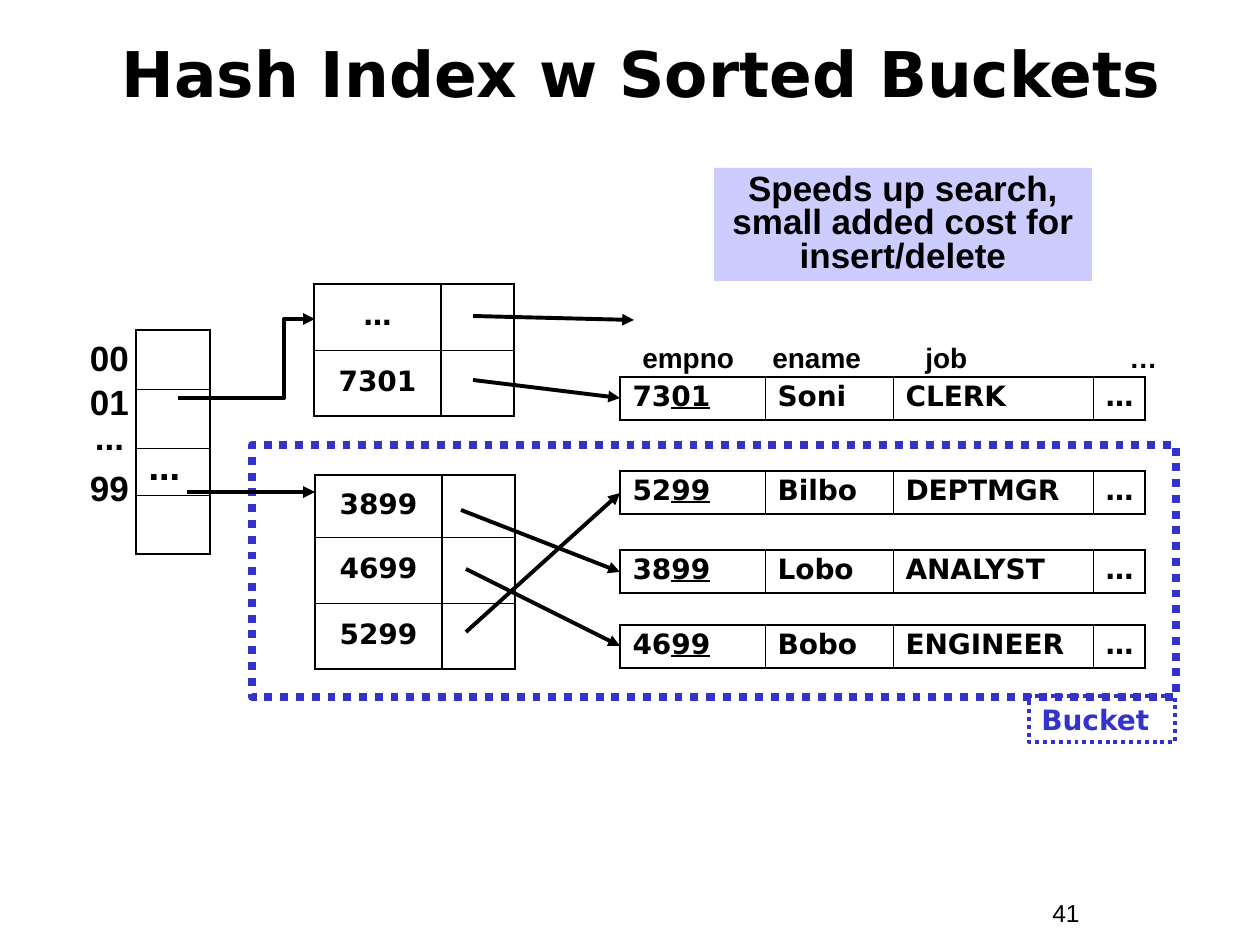
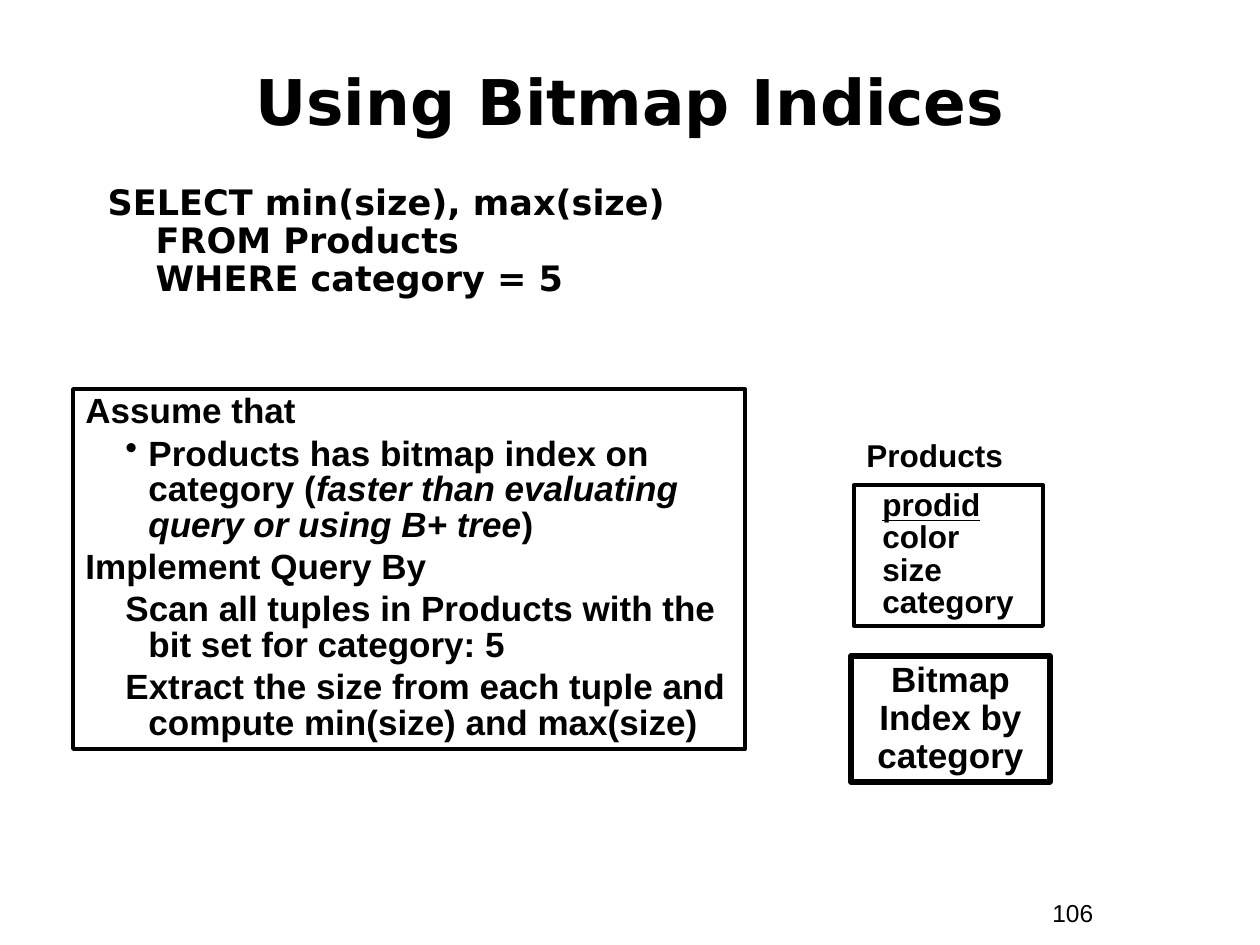
from lxml import etree
from pptx import Presentation
from pptx import util as u
from pptx.dml.color import RGBColor
from pptx.enum import dml, shapes, text
from pptx.oxml.ns import qn

SCALE = 914400 / 126
BLACK = RGBColor(0x00, 0x00, 0x00)
BLUE = RGBColor(0x33, 0x33, 0xCC)
LILAC = RGBColor(0xCC, 0xCC, 0xFF)
ARIAL, DEJAVU = "Arial", "DejaVu Sans"
THICK, THIN = 1.08, 0.45
LEFT, CENTER = text.PP_ALIGN.LEFT, text.PP_ALIGN.CENTER
TOP, MIDDLE = text.MSO_ANCHOR.TOP, text.MSO_ANCHOR.MIDDLE


def px(*sizes):
    return [u.Emu(round(size * SCALE)) for size in sizes]


def sub(parent, tag, **attrs):
    return etree.SubElement(parent, qn(tag), {k: str(v) for k, v in attrs.items()})


def hang(par, left, first, dot=None):
    """Indent a paragraph by px, with a bullet or with none."""
    props = par._p.get_or_add_pPr()
    for name, size in zip(("marL", "indent"), px(left, first)):
        props.set(name, str(size))
    if dot:
        sub(props, "a:buChar", char=dot)
    else:
        sub(props, "a:buNone")


def stops(par, *places):
    tabs = sub(par._p.get_or_add_pPr(), "a:tabLst")
    for place in px(*places):
        sub(tabs, "a:tab", pos=place, algn="l")


def border(cell, **widths):
    """Draw cell edges, given as lnL, lnR, lnT and lnB in points."""
    props = cell._tc.get_or_add_tcPr()
    for spot, (tag, width) in enumerate(widths.items()):
        edge = etree.Element(qn("a:" + tag), w=str(u.Pt(width)))
        sub(sub(edge, "a:solidFill"), "a:srgbClr", val=str(BLACK))
        props.insert(spot, edge)


class Deck:
    def __init__(self):
        self.prs = Presentation()
        self.prs.slide_width, self.prs.slide_height = px(1260, 945)
        self.slide = None

    def start(self, layout, title, left, top, number):
        self.slide = self.prs.slides.add_slide(self.prs.slide_layouts[layout])
        self.place(self.slide.shapes.title, (left, top, 1176, 116), title,
                   size=36, font=DEJAVU, align=CENTER, anchor=MIDDLE)
        self.box((1040, 892, 116, 43), number, size=14, bold=False)

    def letter(self, frame, lines, size=20, font=ARIAL, color=BLACK, bold=True,
               align=LEFT, gap=0, lead=1.0, mark="underline"):
        """Fill a frame; every second part between bars gets the mark."""
        lines = [lines] if isinstance(lines, str) else lines
        for i, line in enumerate(lines):
            par = frame.add_paragraph() if i else frame.paragraphs[0]
            first, *rest = line.split("|")
            par.text = first
            for part in rest:
                par.add_run().text = part
            par.alignment, par.line_spacing = align, lead
            par.space_before = u.Pt(gap if i else 0)
            marked = rest[::2]
            for run in par.runs:
                run.font.name, run.font.size = font, u.Pt(size)
                run.font.bold, run.font.color.rgb = bold, color
                if run.text in marked:
                    setattr(run.font, mark, True)
        return frame.paragraphs

    def place(self, holder, rect, lines, anchor=TOP, **style):
        holder.left, holder.top, holder.width, holder.height = px(*rect)
        frame = holder.text_frame
        frame.word_wrap, frame.auto_size = True, text.MSO_AUTO_SIZE.NONE
        frame.vertical_anchor = anchor
        return self.letter(frame, lines, **style)

    def box(self, rect, lines, **style):
        return self.place(self.slide.shapes.add_textbox(*px(*rect)), rect, lines, **style)

    def frame(self, rect, lines="", edge=None, width=2.25, dash=None, fill=None, **style):
        shape = self.slide.shapes.add_shape(shapes.MSO_SHAPE.RECTANGLE, *px(*rect))
        shape.shadow.inherit = False
        if fill:
            shape.fill.solid()
            shape.fill.fore_color.rgb = fill
        else:
            shape.fill.background()
        if edge is None:
            shape.line.fill.background()
        else:
            shape.line.color.rgb, shape.line.width = edge, u.Pt(width)
            shape.line.dash_style = dash
        return self.place(shape, rect, lines, **style)

    def table(self, left, top, cols, rows, cells, mid=THIN, anchor=TOP, **style):
        """Grid with a thick frame, thin row rules and column rules of width mid."""
        grid = self.slide.shapes.add_table(
            len(rows), len(cols), *px(left, top, sum(cols), sum(rows))).table
        grid.first_row = grid.horz_banding = False
        for col, width in zip(grid.columns, px(*cols)):
            col.width = width
        for row, height in zip(grid.rows, px(*rows)):
            row.height = height
        for r, line in enumerate(cells):
            for c, words in enumerate(line):
                cell = grid.cell(r, c)
                cell.fill.background()
                cell.vertical_anchor = anchor
                border(cell, lnL=mid if c else THICK,
                       lnR=mid if c < len(cols) - 1 else THICK,
                       lnT=THIN if r else THICK,
                       lnB=THIN if r < len(rows) - 1 else THICK)
                if words:
                    self.letter(cell.text_frame, words, font=DEJAVU, lead=0.9, **style)

    def arrow(self, x1, y1, x2, y2, bend=None):
        kind = shapes.MSO_CONNECTOR.ELBOW if bend else shapes.MSO_CONNECTOR.STRAIGHT
        line = self.slide.shapes.add_connector(kind, *px(x1, y1, x2, y2))
        line.line.color.rgb, line.line.width = BLACK, u.Pt(2.25)
        props = line.element.spPr
        sub(props.find(qn("a:ln")), "a:tailEnd", type="triangle")
        sub(props, "a:effectLst")
        if bend:
            guides = props.find(qn("a:prstGeom")).find(qn("a:avLst"))
            sub(guides, "a:gd", name="adj1", fmla=f"val {bend}")


def hash_slide(deck):
    deck.start(5, "Hash Index w Sorted Buckets", 53, 14, "41")
    index = dict(mid=THICK, size=16, align=CENTER, anchor=MIDDLE)
    deck.table(315, 475, (127, 73), (62, 66, 66),
               [("3899", ""), ("4699", ""), ("5299", "")], **index)
    deck.table(314, 284, (127, 73), (66, 66), [("…", ""), ("7301", "")], **index)
    deck.table(136, 330, (74,), (59, 59, 47, 59), [("",), ("",), ("…",), ("",)], size=18)

    dots = dml.MSO_LINE.ROUND_DOT
    deck.frame((252, 445, 924, 252), edge=BLUE, width=4.5, dash=dots)
    keys = deck.box((73, 330, 73, 185), ["00", "01", "...", "99"], align=CENTER)
    keys[1].space_before, keys[3].space_before = u.Pt(1.2), u.Pt(5)
    keys[2].line_spacing = 0.85

    records = [
        (377, "73|01", "Soni", "CLERK"),
        (471, "52|99", "Bilbo", "DEPTMGR"),
        (550, "38|99", "Lobo", "ANALYST"),
        (625, "46|99", "Bobo", "ENGINEER"),
    ]
    for top, *fields in records:
        deck.table(620, top, (145, 128, 200, 52), (43,), [fields + ["…"]], size=16)
    heads = deck.box((630, 334, 598, 47), "empno\tename\tjob\t…", size=16)
    stops(heads[0], 130, 283, 487)

    for ends in [(466, 569, 620, 646), (466, 632, 620, 493), (461, 510, 620, 572),
                 (187, 492, 315, 492), (473, 316, 634, 320), (473, 380, 620, 398)]:
        deck.arrow(*ends)
    deck.arrow(178, 398, 315, 319, bend=77600)

    deck.frame((1029, 696, 146, 46), "Bucket", edge=BLUE, dash=dots,
               size=16, font=DEJAVU, color=BLUE)
    deck.frame((714, 168, 378, 113),
               "Speeds up search,\nsmall added cost for insert/delete",
               fill=LILAC, align=CENTER, lead=0.8)


def bitmap_slide(deck):
    deck.start(1, "Using Bitmap Indices", 42, 42, "106")
    query = deck.place(deck.slide.placeholders[1], (95, 179, 1071, 136),
                       "SELECT min(size), max(size)\nFROM Products\nWHERE category = 5",
                       font=DEJAVU, lead=0.9)
    hang(query[0], 48, -48)

    deck.frame((851, 656, 199, 126), "Bitmap Index by category",
               edge=BLACK, width=3, align=CENTER, lead=0.9)
    deck.box((854, 436, 221, 45), "Products", size=18, lead=0.85)
    fields = deck.frame((854, 485, 189, 141), ["|prodid", "color\nsize", "category"],
                        edge=BLACK, size=18, lead=0.85)
    for field in fields:
        hang(field, 16, 0)

    plan = deck.frame((73, 389, 672, 360), [
        "Assume that",
        "Products has bitmap index on category ("
        "|faster than evaluating query or using B+ tree|)",
        "Implement Query By",
        "Scan all tuples in Products with the bit set for category: 5",
        "Extract the size from each tuple and compute min(size) and max(size)",
    ], edge=BLACK, gap=3.7, lead=0.85, mark="italic")
    for step, dot in ((1, "•"), (3, None), (4, None)):
        plan[step].level = 1
        hang(plan[step], 63, -23, dot)


def main():
    deck = Deck()
    hash_slide(deck)
    bitmap_slide(deck)
    deck.prs.save("out.pptx")


if __name__ == "__main__":
    main()
